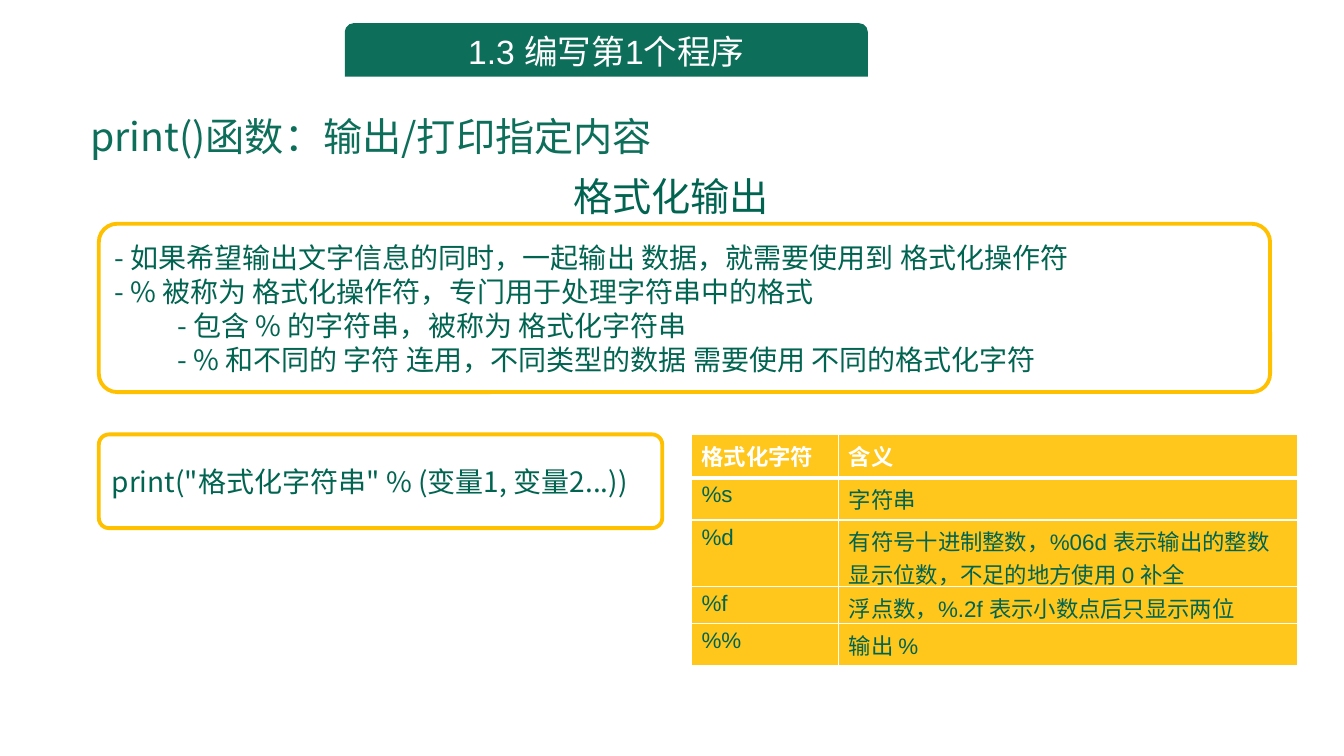
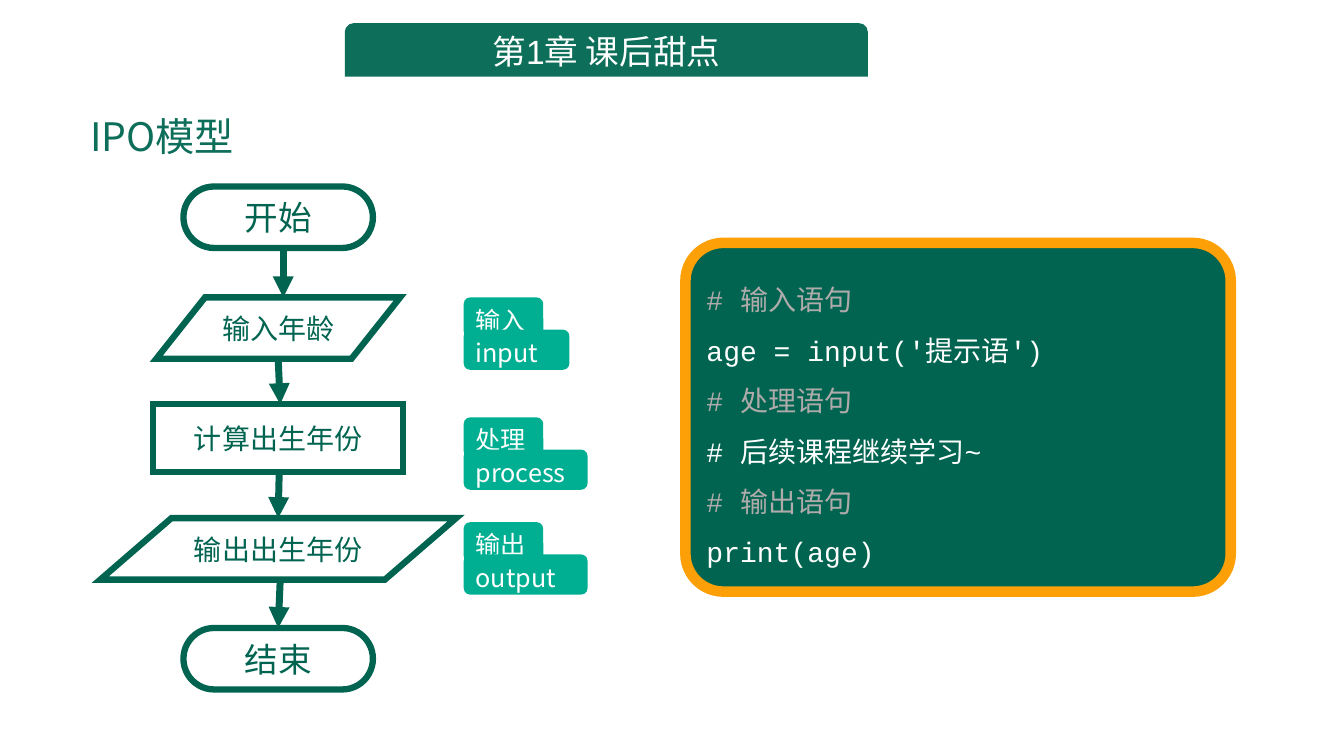
from dataclasses import dataclass

from lxml.etree import SubElement
from pptx import Presentation
from pptx.dml.color import RGBColor
from pptx.enum.shapes import MSO_CONNECTOR, MSO_SHAPE as Preset
from pptx.enum.text import MSO_ANCHOR as Anchor, PP_ALIGN as Align
from pptx.oxml.ns import qn
from pptx.util import Inches, Pt

SLIDE_W, SLIDE_H = Inches(13.33), Inches(7.5)
GRID_COLS, GRID_ROWS = 40, 30

BAND_GREEN, DEEP_GREEN, TAG_GREEN = "0D6E5A", "006450", "00AF92"
GOLD, ORANGE, GREY, WHITE = "FFC000", "FDA007", "AFABAB", "FFFFFF"
SANS, CJK, MONO = "Arial", "Noto Sans CJK SC", "Courier New"
CORNER = 0.109


@dataclass(frozen=True)
class Box:
    """A place on the slide, in grid columns and rows."""
    col: float
    row: float
    cols: float
    rows: float

    def emu(self):
        return across(self.col), down(self.row), across(self.cols), down(self.rows)


@dataclass(frozen=True)
class Line:
    """A paragraph; indent is in grid columns."""
    text: str
    color: str | None = None
    indent: float = 0


@dataclass(frozen=True)
class Step:
    """A flowchart step; arrow holds the start and end columns of the arrow leaving it."""
    label: str
    preset: Preset
    row: float
    cols: float
    rows: float = 2.44
    size: int = 20
    arrow: tuple[float, float] | None = None


@dataclass(frozen=True)
class Tag:
    chinese: str
    english: str
    row: float
    english_cols: float


BAND = Box(10.26, 0.92, 15.57, 2.12)
HEADING = Box(2.4, 4.24, 18.81, 2.36)

RULES = [
    Line("- 如果希望输出文字信息的同时，一起输出 数据，就需要使用到 格式化操作符"),
    Line("- % 被称为 格式化操作符，专门用于处理字符串中的格式"),
    Line("- 包含 % 的字符串，被称为 格式化字符串", indent=1.88),
    Line("- % 和不同的 字符 连用，不同类型的数据 需要使用 不同的格式化字符", indent=1.88),
]
FORMAT_CODES = [
    ("格式化字符", "含义"),
    ("%s", "字符串"),
    ("%d", "有符号十进制整数，%06d 表示输出的整数显示位数，不足的地方使用 0 补全"),
    ("%f", "浮点数，%.2f 表示小数点后只显示两位"),
    ("%%", "输出 %"),
]
CODE_COLS = (4.38, 13.65)
CODE_ROWS = (1.72, 1.68, 2.64, 1.44, 1.68)

FLOW_CENTRE = 8.28
STEPS = [
    Step("开始", Preset.FLOWCHART_TERMINATOR, 7.4, 5.64, size=24, arrow=(8.43, 8.43)),
    Step("输入年龄", Preset.FLOWCHART_DATA, 11.8, 7.26, arrow=(8.28, 8.34)),
    Step("计算出生年份", Preset.RECTANGLE, 16.04, 7.44, rows=2.68, arrow=(8.31, 8.28)),
    Step("输出出生年份", Preset.FLOWCHART_DATA, 20.56, 10.59, arrow=(8.34, 8.28)),
    Step("结束", Preset.FLOWCHART_TERMINATOR, 24.92, 5.64, size=24),
]
TAGS = [
    Tag("输入", "input", 11.8, 3.15),
    Tag("处理", "process", 16.56, 3.69),
    Tag("输出", "output", 20.72, 3.69),
]
TAG_COL, TAG_COLS, TAG_ROWS, TAG_STEP = 13.8, 2.37, 1.6, 1.28
PROGRAM = [
    Line("# 输入语句", GREY),
    Line("age = input('提示语')"),
    Line("# 处理语句", GREY),
    Line("# 后续课程继续学习~"),
    Line("# 输出语句", GREY),
    Line("print(age)"),
]


def across(cols: float) -> int:
    return round(SLIDE_W * cols / GRID_COLS)


def down(rows: float) -> int:
    return round(SLIDE_H * rows / GRID_ROWS)


def rgb(color: str) -> RGBColor:
    return RGBColor.from_string(color)


def write(frame, text, *, size=20, color=DEEP_GREEN, font=CJK, bold=False,
          align=Align.LEFT, anchor=Anchor.TOP, spacing=1.0):
    """Fill a text frame with one string or a list of Lines."""
    frame.word_wrap = True
    frame.vertical_anchor = anchor
    lines = [Line(text)] if isinstance(text, str) else text
    for number, line in enumerate(lines):
        paragraph = frame.add_paragraph() if number else frame.paragraphs[0]
        paragraph.alignment = align
        paragraph.line_spacing = spacing
        if line.indent:
            paragraph.level = 1
            properties = paragraph._p.get_or_add_pPr()
            properties.set("marL", str(across(line.indent)))
            properties.set("indent", "0")
        run = paragraph.add_run()
        run.text = line.text
        run.font.size, run.font.bold, run.font.name = Pt(size), bold, font
        run.font.color.rgb = rgb(line.color or color)
        SubElement(run._r.get_or_add_rPr(), qn("a:ea"), typeface=CJK)


def panel(slide, box: Box, text, *, preset=Preset.ROUNDED_RECTANGLE, corner=None,
          fill=None, outline=None, width=2.75, **text_format):
    shape = slide.shapes.add_shape(preset, *box.emu())
    shape.shadow.inherit = False
    if corner is not None:
        shape.adjustments[0] = corner
    if fill:
        shape.fill.solid()
        shape.fill.fore_color.rgb = rgb(fill)
    else:
        shape.fill.background()
    if outline:
        shape.line.color.rgb = rgb(outline)
        shape.line.width = Pt(width)
        SubElement(shape.line._get_or_add_ln(), qn("a:miter"), lim="800000")
    else:
        shape.line.fill.background()
    write(shape.text_frame, text, **text_format)


def arrow(slide, start: tuple[float, float], end: tuple[float, float]):
    link = slide.shapes.add_connector(
        MSO_CONNECTOR.STRAIGHT, across(start[0]), down(start[1]), across(end[0]), down(end[1]))
    link.line.color.rgb = rgb(DEEP_GREEN)
    link.line.width = Pt(5)
    SubElement(link.line._get_or_add_ln(), qn("a:tailEnd"), type="triangle")
    SubElement(link._element.spPr, qn("a:effectLst"))


def style_cell(cell, header: bool):
    """Give a cell white borders and a slightly transparent gold fill."""
    cell.fill.solid()
    cell.fill.fore_color.rgb = rgb(GOLD)
    properties = cell._tc.get_or_add_tcPr()
    gold = properties.find(qn("a:solidFill")).find(qn("a:srgbClr"))
    SubElement(gold, qn("a:alpha"), val="89000")
    for position, side in enumerate(("lnL", "lnR", "lnT", "lnB")):
        weight = 3 if header and side == "lnB" else 1
        border = SubElement(properties, qn(f"a:{side}"), w=str(Pt(weight)))
        white = SubElement(border, qn("a:solidFill"))
        SubElement(white, qn("a:srgbClr"), val=WHITE)
        properties.insert(position, border)


def format_table(slide, col: float, row: float):
    box = Box(col, row, sum(CODE_COLS), sum(CODE_ROWS))
    table = slide.shapes.add_table(len(CODE_ROWS), len(CODE_COLS), *box.emu()).table
    table.horz_banding = False
    for column, cols in zip(table.columns, CODE_COLS):
        column.width = across(cols)
    for number, (table_row, rows) in enumerate(zip(table.rows, CODE_ROWS)):
        table_row.height = down(rows)
        header = number == 0
        for cell, text in zip(table_row.cells, FORMAT_CODES[number]):
            style_cell(cell, header)
            write(cell.text_frame, text, size=16, font=SANS, bold=header,
                  color=WHITE if header else DEEP_GREEN)


def flowchart(slide):
    for step in STEPS:
        box = Box(FLOW_CENTRE - step.cols / 2, step.row, step.cols, step.rows)
        panel(slide, box, step.label, preset=step.preset, outline=DEEP_GREEN, width=4.5,
              size=step.size, font=SANS, align=Align.CENTER, anchor=Anchor.MIDDLE)
    for step, following in zip(STEPS, STEPS[1:]):
        leaves, arrives = step.arrow
        arrow(slide, (leaves, step.row + step.rows), (arrives, following.row))


def phase_tags(slide):
    for tag in TAGS:
        for text, row, cols in ((tag.chinese, tag.row, TAG_COLS),
                                (tag.english, tag.row + TAG_STEP, tag.english_cols)):
            panel(slide, Box(TAG_COL, row, cols, TAG_ROWS), text, fill=TAG_GREEN,
                  size=18, color=WHITE, spacing=1.02)


def new_slide(deck, chapter: str, heading: str):
    """Add a blank slide with the chapter band and heading."""
    slide = deck.slides.add_slide(deck.slide_layouts[6])
    panel(slide, BAND, chapter, preset=Preset.ROUND_2_SAME_RECTANGLE, fill=BAND_GREEN,
          size=24, color=WHITE, font=SANS, align=Align.CENTER)
    title = slide.shapes.add_textbox(*HEADING.emu())
    write(title.text_frame, heading, size=28, color=BAND_GREEN, spacing=1.02)
    return slide


def formatting_slide(deck):
    slide = new_slide(deck, "1.3 编写第1个程序", "print()函数：输出/打印指定内容")
    body = dict(corner=CORNER, anchor=Anchor.MIDDLE, spacing=1.02)
    panel(slide, Box(2.94, 8.88, 34.86, 6.68), RULES, outline=GOLD, **body)
    panel(slide, Box(16.71, 6.68, 6.57, 2.12), "格式化输出", size=28, **body)
    panel(slide, Box(2.94, 17.24, 16.77, 3.72),
          'print("格式化字符串" % (变量1, 变量2...))', outline=GOLD, **body)
    format_table(slide, 20.58, 17.24)


def ipo_slide(deck):
    slide = new_slide(deck, "第1章 课后甜点", "IPO模型")
    panel(slide, Box(20.4, 9.64, 16.23, 13.84), PROGRAM, corner=CORNER, fill=DEEP_GREEN,
          outline=ORANGE, width=7.5, color=WHITE, font=MONO, anchor=Anchor.MIDDLE, spacing=1.5)
    flowchart(slide)
    phase_tags(slide)


def main():
    deck = Presentation()
    deck.slide_width, deck.slide_height = SLIDE_W, SLIDE_H
    formatting_slide(deck)
    ipo_slide(deck)
    deck.save("out.pptx")


if __name__ == "__main__":
    main()
